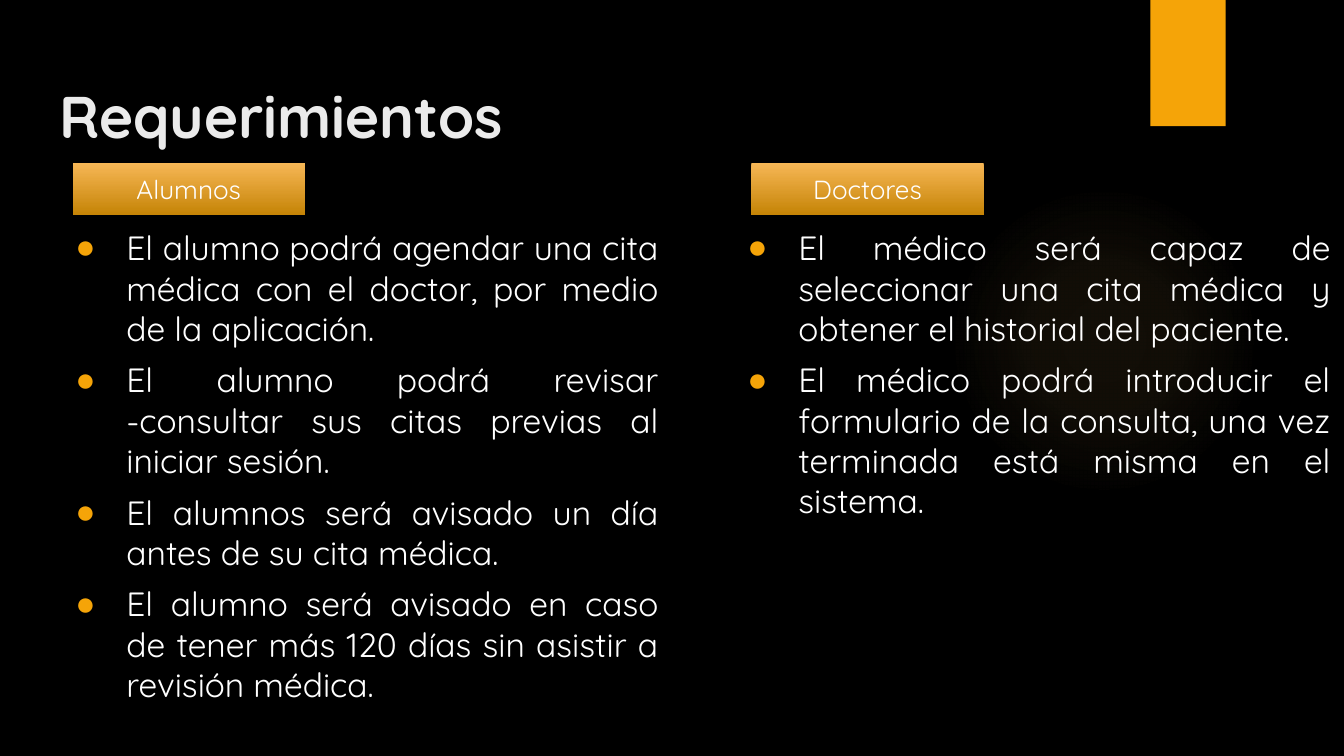
"""Build the requirements slide with one column for students and one for doctors."""
from dataclasses import dataclass

from lxml.etree import SubElement
from pptx import Presentation
from pptx.dml.color import RGBColor
from pptx.enum.shapes import MSO_SHAPE
from pptx.enum.text import MSO_ANCHOR, MSO_AUTO_SIZE, PP_ALIGN
from pptx.oxml import parse_xml
from pptx.oxml.ns import nsdecls, qn
from pptx.shapes.autoshape import Shape
from pptx.slide import Slide
from pptx.text.text import TextFrame, _Paragraph
from pptx.util import Inches, Pt

BLACK = RGBColor(0x00, 0x00, 0x00)
WHITE = RGBColor(0xFF, 0xFF, 0xFF)
TITLE_GREY = RGBColor(0xEB, 0xEB, 0xEB)
ORANGE = RGBColor(0xF5, 0xA4, 0x08)
LABEL_TOP = RGBColor(0xF7, 0xB7, 0x56)
LABEL_BOTTOM = RGBColor(0xC5, 0x84, 0x06)
GLOW = RGBColor(0xFA, 0xC9, 0x6A)
GLOW_STOPS = ((0, 7), (36, 6), (69, 0))
FONT = "Quicksand"
BULLET_FONT = "Arial"


@dataclass
class Column:
    label: str
    label_left: float
    list_left: float
    requirements: tuple[str, ...]


COLUMNS = (
    Column("Alumnos", 0.54, 0.34, (
        "El alumno podrá agendar una cita médica con el doctor, por medio de la aplicación.",
        "El alumno podrá revisar -consultar sus citas previas al iniciar sesión.",
        "El alumnos será avisado un día antes de su cita médica.",
        "El alumno será avisado en caso de tener más 120 días sin asistir a revisión médica.",
    )),
    Column("Doctores", 5.59, 5.34, (
        "El médico será capaz de seleccionar una cita médica y obtener el historial del paciente.",
        "El médico podrá introducir el formulario de la consulta, una vez terminada está misma en el sistema.",
    )),
)


def place(box: Shape, left: float, top: float, width: float, height: float) -> None:
    box.left, box.top = Inches(left), Inches(top)
    box.width, box.height = Inches(width), Inches(height)


def add_span(para: _Paragraph, text: str, size: float, color: RGBColor, bold: bool = False) -> None:
    span = para.add_run()
    span.text = text
    span.font.name = FONT
    span.font.size = Pt(size)
    span.font.bold = bold
    span.font.color.rgb = color


def prepare_frame(box: Shape, anchor: MSO_ANCHOR) -> TextFrame:
    frame = box.text_frame
    frame.word_wrap = True
    frame.auto_size = MSO_AUTO_SIZE.NONE
    frame.vertical_anchor = anchor
    frame.margin_left = frame.margin_right = Inches(0.1)
    frame.margin_top = frame.margin_bottom = Inches(0.1)
    return frame


def add_plain_shape(page: Slide, kind: MSO_SHAPE, left: float, top: float, width: float, height: float) -> Shape:
    shape = page.shapes.add_shape(kind, Inches(left), Inches(top), Inches(width), Inches(height))
    shape.shadow.inherit = False
    shape.line.fill.background()
    return shape


def add_glow(page: Slide) -> None:
    glow = add_plain_shape(page, MSO_SHAPE.OVAL, 7.06, 1.38, 2.31, 2.31)
    stops = "".join(
        f'<a:gs pos="{position * 1000}"><a:srgbClr val="{GLOW}">'
        f'<a:alpha val="{alpha * 1000}"/></a:srgbClr></a:gs>'
        for position, alpha in GLOW_STOPS
    )
    gradient = parse_xml(
        f'<a:gradFill {nsdecls("a")}><a:gsLst>{stops}</a:gsLst><a:path path="circle">'
        '<a:fillToRect l="50000" t="50000" r="50000" b="50000"/></a:path></a:gradFill>'
    )
    glow._element.spPr.find(qn("a:prstGeom")).addnext(gradient)


def add_label(page: Slide, column: Column) -> None:
    label = add_plain_shape(page, MSO_SHAPE.RECTANGLE, column.label_left, 1.21, 1.73, 0.39)
    label.fill.gradient()
    label.fill.gradient_angle = 270
    for stop, position, color in zip(label.fill.gradient_stops, (0, 1), (LABEL_TOP, LABEL_BOTTOM)):
        stop.position = position
        stop.color.rgb = color
    label.text_frame.vertical_anchor = MSO_ANCHOR.MIDDLE
    para = label.text_frame.paragraphs[0]
    para.alignment = PP_ALIGN.CENTER
    add_span(para, column.label, 14, WHITE)


def set_bullet(para: _Paragraph) -> None:
    properties = para._p.get_or_add_pPr()
    properties.set("marL", str(Inches(0.5)))
    properties.set("indent", str(Inches(-0.38)))
    bullet_color = SubElement(properties, qn("a:buClr"))
    SubElement(bullet_color, qn("a:srgbClr"), val=str(ORANGE))
    SubElement(properties, qn("a:buFont"), typeface=BULLET_FONT)
    SubElement(properties, qn("a:buChar"), char="●")


def fill_list(box: Shape, column: Column) -> None:
    place(box, column.list_left, 1.59, 4.66, 3.74)
    frame = prepare_frame(box, MSO_ANCHOR.TOP)
    for index, requirement in enumerate(column.requirements):
        para = frame.add_paragraph() if index else frame.paragraphs[0]
        set_bullet(para)
        para.alignment = PP_ALIGN.JUSTIFY
        para.space_before = Pt(6 if index else 0)
        add_span(para, requirement, 18, WHITE)


def fill_title(box: Shape) -> None:
    place(box, 0.34, 0.49, 9.32, 0.63)
    para = prepare_frame(box, MSO_ANCHOR.TOP).paragraphs[0]
    para.alignment = PP_ALIGN.LEFT
    add_span(para, "Requerimientos", 31.5, TITLE_GREY, bold=True)


def main() -> None:
    deck = Presentation()
    deck.slide_width = Inches(10)
    deck.slide_height = deck.slide_width * 9 // 16
    page = deck.slides.add_slide(deck.slide_layouts.get_by_name("Two Content"))
    page.background.fill.solid()
    page.background.fill.fore_color.rgb = BLACK
    title, *lists = page.placeholders
    add_glow(page)
    ribbon = add_plain_shape(page, MSO_SHAPE.RECTANGLE, 8.56, 0, 0.56, 0.94)
    ribbon.fill.solid()
    ribbon.fill.fore_color.rgb = ORANGE
    for box in (title, *lists):
        page.shapes._spTree.append(box._element)
    fill_title(title)
    for box, column in zip(lists, COLUMNS):
        fill_list(box, column)
        add_label(page, column)
    deck.save("out.pptx")


if __name__ == "__main__":
    main()
